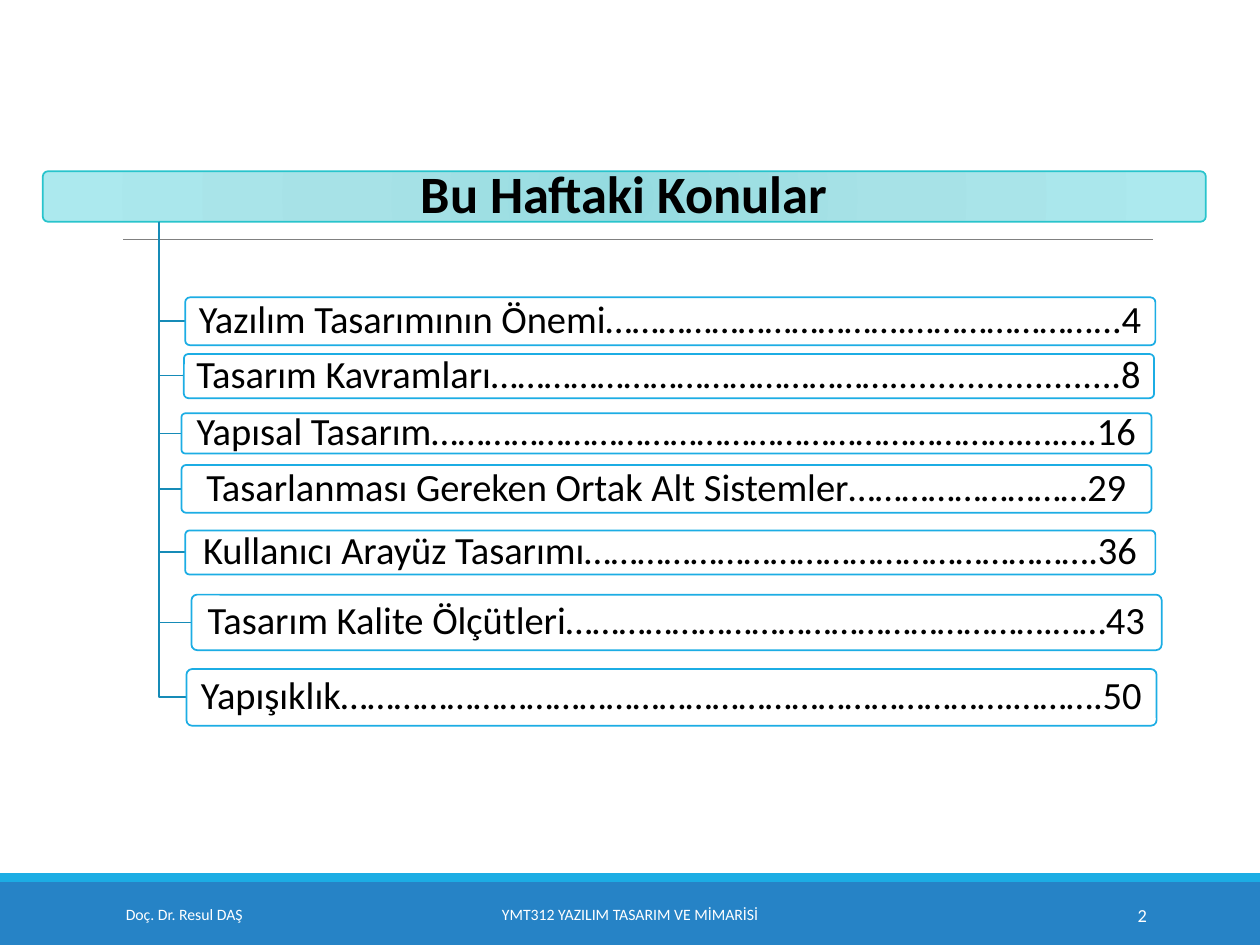
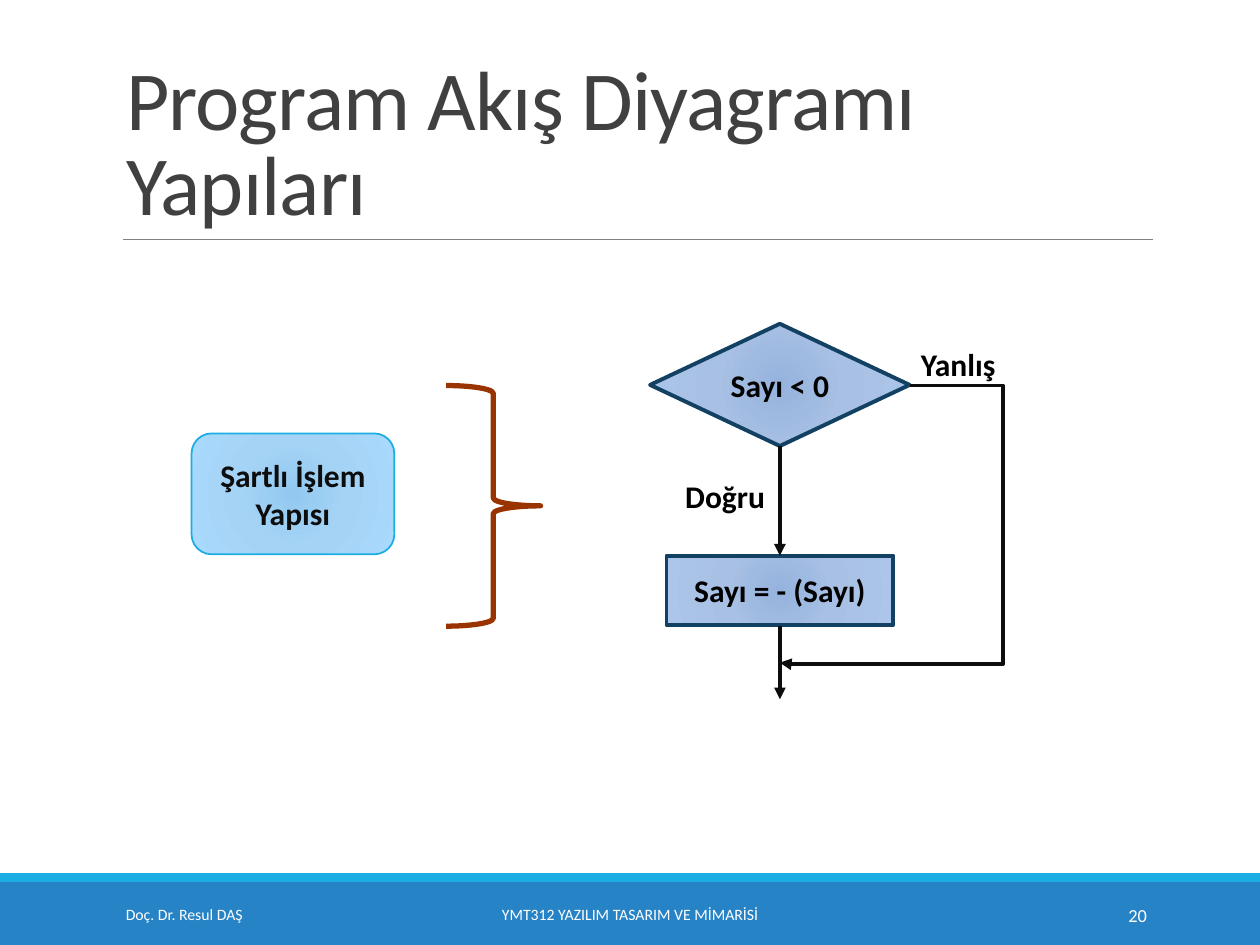
from dataclasses import dataclass

from lxml import etree
from pptx import Presentation
from pptx.dml.color import RGBColor
from pptx.enum.shapes import MSO_CONNECTOR, MSO_SHAPE
from pptx.enum.text import MSO_ANCHOR, MSO_AUTO_SIZE, PP_ALIGN
from pptx.oxml import parse_xml
from pptx.oxml.ns import nsdecls, qn
from pptx.util import Pt

PX = 9144  # 100 px to the inch
LEFT, CENTER, RIGHT = PP_ALIGN.LEFT, PP_ALIGN.CENTER, PP_ALIGN.RIGHT
TOP, MIDDLE, BOTTOM = MSO_ANCHOR.TOP, MSO_ANCHOR.MIDDLE, MSO_ANCHOR.BOTTOM
NO_AUTOFIT = MSO_AUTO_SIZE.NONE
STRAIGHT, ELBOW = MSO_CONNECTOR.STRAIGHT, MSO_CONNECTOR.ELBOW
RECT, ROUNDED = MSO_SHAPE.RECTANGLE, MSO_SHAPE.ROUNDED_RECTANGLE
DIAMOND, BRACE = MSO_SHAPE.DIAMOND, MSO_SHAPE.RIGHT_BRACE
TITLE_ONLY = 5


@dataclass(frozen=True)
class Theme:
    font: str = "Calibri"
    white: str = "FFFFFF"
    black: str = "000000"
    ink: str = "0D0D0D"
    title: str = "404040"
    rule: str = "808080"
    footer: str = "2683C6"
    accent: str = "1CADE4"
    branch: str = "168BB7"
    heading_line: str = "28C4CC"
    flow_line: str = "134163"
    brace: str = "993300"
    heading_fill: tuple = ("95DBE0", "A7E2E7", "ACE9EE")
    sky_fill: tuple = ("92C9F0", "A4D3F5", "A9D9FD")
    flow_fill: tuple = ("95B3DD", "A7C0E3", "ACC6EB")
    title_pt: float = 48
    heading_pt: float = 30
    topic_pt: float = 22
    flow_pt: float = 18
    number_pt: float = 10.5
    footer_pt: float = 9


T = Theme()

AUTHOR = "Doç. Dr. Resul DAŞ"
COURSE = "YMT312 YAZILIM TASARIM VE MİMARİSİ"

AGENDA_TITLE = "Bu Haftaki Konular"
HEADING_BOX = (34, 136, 923, 40)
TRUNK_X, TRUNK_TOP, TOPIC_WIDTH = 126, 176, 770
TOPICS = [  # text, left, top, height
    ("Yazılım Tasarımının Önemi…………………………….…………………...4", 147, 236, 38),
    ("Tasarım Kavramları………………………………………........................8", 146, 281, 35),
    ("Yapısal Tasarım………………………………………………………….….….16", 144, 328, 32),
    ("Tasarlanması Gereken Ortak Alt Sistemler………………………29", 144, 369, 38),
    ("Kullanıcı Arayüz Tasarımı………………………………………………….36", 147, 421, 35),
    ("Tasarım Kalite Ölçütleri……………………………………………….……43", 152, 472, 44),
    ("Yapışıklık………………………………………………………………….……….50", 148, 531, 45),
]

FLOW_TITLE = "Program Akış Diyagramı Yapıları"
FLOW_NODES = [  # shape, text, box, fill, line, line width, text colour
    (ROUNDED, "Şartlı İşlem Yapısı", (152, 344, 161, 96), T.sky_fill, T.accent, 1, T.ink),
    (BRACE, "", (354, 306, 75, 191), None, T.brace, 3, T.black),
    (DIAMOND, "Sayı < 0", (516, 257, 206, 97), T.flow_fill, T.flow_line, 2.25, T.black),
    (RECT, "Sayı = - (Sayı)", (529, 441, 180, 55), T.flow_fill, T.flow_line, 2.25, T.black),
]
FLOW_LABELS = [("Doğru", (534, 374, 84, 40)), ("Yanlış", (721, 269, 80, 40))]
FLOW_X = 619
DOWN_ARROWS = [(354, 441), (497, 555)]
BYPASS_START, BYPASS_END, BYPASS_TURN = (722, 306), (FLOW_X, 526), (796, 527)


def px(*values):
    return [v * PX for v in values]


def rgb(color):
    return RGBColor.from_string(color)


def write(sp, text, size, color, bold=False, align=CENTER, anchor=MIDDLE,
          spacing=None, margins=(10, 5), wrap=True):
    tf = sp.text_frame
    tf.auto_size = NO_AUTOFIT
    tf.word_wrap = wrap
    tf.vertical_anchor = anchor
    tf.margin_left = tf.margin_right = margins[0] * PX
    tf.margin_top = tf.margin_bottom = margins[1] * PX
    p = tf.paragraphs[0]
    p.alignment = align
    if spacing:
        p.line_spacing = spacing
    r = p.add_run()
    r.text = text
    r.font.name, r.font.size, r.font.bold = T.font, Pt(size), bold
    r.font.color.rgb = rgb(color)
    return r


def add_text(s, box, *args, **kwargs):
    return write(s.shapes.add_textbox(*px(*box)), *args, **kwargs)


def fill_radial(sp, colors):
    stops = "".join(
        f'<a:gs pos="{pos}"><a:srgbClr val="{color}"/></a:gs>'
        for pos, color in zip((0, 45000, 100000), colors))
    gradient = parse_xml(
        f'<a:gradFill {nsdecls("a")} rotWithShape="1"><a:gsLst>{stops}</a:gsLst>'
        '<a:path path="circle"><a:fillToRect l="100000" t="100000" r="100000" b="100000"/>'
        '</a:path></a:gradFill>')
    sp.element.spPr.find(qn("a:prstGeom")).addnext(gradient)


def add_shape(s, kind, box, fill=None, line=None, width=1, radius=None):
    """A tuple of colours as fill gives a radial gradient."""
    sp = s.shapes.add_shape(kind, *px(*box))
    sp.shadow.inherit = False
    if radius is not None:
        sp.adjustments[0] = radius
    if isinstance(fill, tuple):
        fill_radial(sp, fill)
    elif fill:
        sp.fill.solid()
        sp.fill.fore_color.rgb = rgb(fill)
    else:
        sp.fill.background()
    if line:
        sp.line.color.rgb = rgb(line)
        sp.line.width = Pt(width)
    else:
        sp.line.fill.background()
    return sp


def add_line(s, start, end, color, width, arrow=False, kind=STRAIGHT):
    cx = s.shapes.add_connector(kind, *px(*start, *end))
    cx.line.color.rgb = rgb(color)
    cx.line.width = Pt(width)
    if arrow:
        etree.SubElement(cx.line._get_or_add_ln(), qn("a:tailEnd"), type="triangle")
    etree.SubElement(cx.element.spPr, qn("a:effectLst"))
    return cx


def add_slide(prs, number):
    """Title-only slide with the shared footer bands, rule and footer texts."""
    s = prs.slides.add_slide(prs.slide_layouts[TITLE_ONLY])
    add_shape(s, RECT, (0, 700, 1000, 50), T.footer)
    add_shape(s, RECT, (0, 693, 1000, 7), T.accent)
    add_line(s, (98, 190), (915, 190), T.rule, 0.5)
    for text, left, width, size, align in [
        (AUTHOR, 90, 203, T.footer_pt, LEFT),
        (COURSE, 302, 396, T.footer_pt, CENTER),
        (str(number), 812, 108, T.number_pt, RIGHT),
    ]:
        add_text(s, (left, 706, width, 40), text, size, T.white, align=align)
    return s


def place_title(s, box, *args, **kwargs):
    """Move the title placeholder to box, in front of what is drawn so far."""
    title = s.shapes.title
    title.left, title.top, title.width, title.height = px(*box)
    s.shapes.element.append(title.element)
    return write(title, *args, **kwargs)


def add_branch(s, end_x, end_y):
    builder = s.shapes.build_freeform(TRUNK_X, TRUNK_TOP, scale=PX)
    builder.add_line_segments([(TRUNK_X, end_y), (end_x, end_y)], close=False)
    sp = builder.convert_to_shape()
    sp.shadow.inherit = False
    sp.fill.background()
    sp.line.color.rgb = rgb(T.branch)
    sp.line.width = Pt(1)


def build_agenda(prs):
    s = add_slide(prs, 2)
    add_shape(s, ROUNDED, HEADING_BOX, T.heading_fill, T.heading_line, radius=0.1)
    place_title(s, HEADING_BOX, AGENDA_TITLE, T.heading_pt, T.black, bold=True,
                spacing=0.9, margins=(7, 5))
    for text, left, top, height in TOPICS:
        add_branch(s, left, top + height // 2)
        sp = add_shape(s, ROUNDED, (left, top, TOPIC_WIDTH, height), T.white, T.accent, radius=0.1)
        white = sp.element.spPr.find(".//" + qn("a:srgbClr"))
        etree.SubElement(white, qn("a:alpha"), val="90000")
        write(sp, text, T.topic_pt, T.black, spacing=0.9, margins=(6, 4))


def add_bypass(s):
    """Elbow that leaves to the right, goes down and comes back to the flow."""
    cx = add_line(s, BYPASS_START, BYPASS_END, T.ink, 2.25, arrow=True, kind=ELBOW)
    geometry = cx.element.spPr.find(qn("a:prstGeom"))
    geometry.set("prst", "bentConnector4")
    guides = geometry.find(qn("a:avLst"))
    if guides is None:
        guides = etree.SubElement(geometry, qn("a:avLst"))
    turns = zip(BYPASS_START, BYPASS_END, BYPASS_TURN)
    for i, (start, end, turn) in enumerate(turns, 1):
        share = round((turn - start) / (end - start) * 100000)
        etree.SubElement(guides, qn("a:gd"), name=f"adj{i}", fmla=f"val {share}")


def build_flow(prs):
    s = add_slide(prs, 20)
    r = place_title(s, (90, 31, 825, 159), FLOW_TITLE, T.title_pt, T.title,
                    align=LEFT, anchor=BOTTOM, spacing=0.85)
    r.font._element.set("spc", "-50")
    for kind, text, box, fill, line, width, color in FLOW_NODES:
        sp = add_shape(s, kind, box, fill, line, width)
        if text:
            write(sp, text, T.flow_pt, color, bold=True)
    for top, bottom in DOWN_ARROWS:
        add_line(s, (FLOW_X, top), (FLOW_X, bottom), T.ink, 2.25, arrow=True)
    add_bypass(s)
    for text, box in FLOW_LABELS:
        add_text(s, box, text, T.flow_pt, T.black, bold=True, align=LEFT, anchor=TOP, wrap=False)


def main():
    prs = Presentation()
    prs.slide_width, prs.slide_height = px(1000, 750)
    build_agenda(prs)
    build_flow(prs)
    prs.save("out.pptx")


if __name__ == "__main__":
    main()
